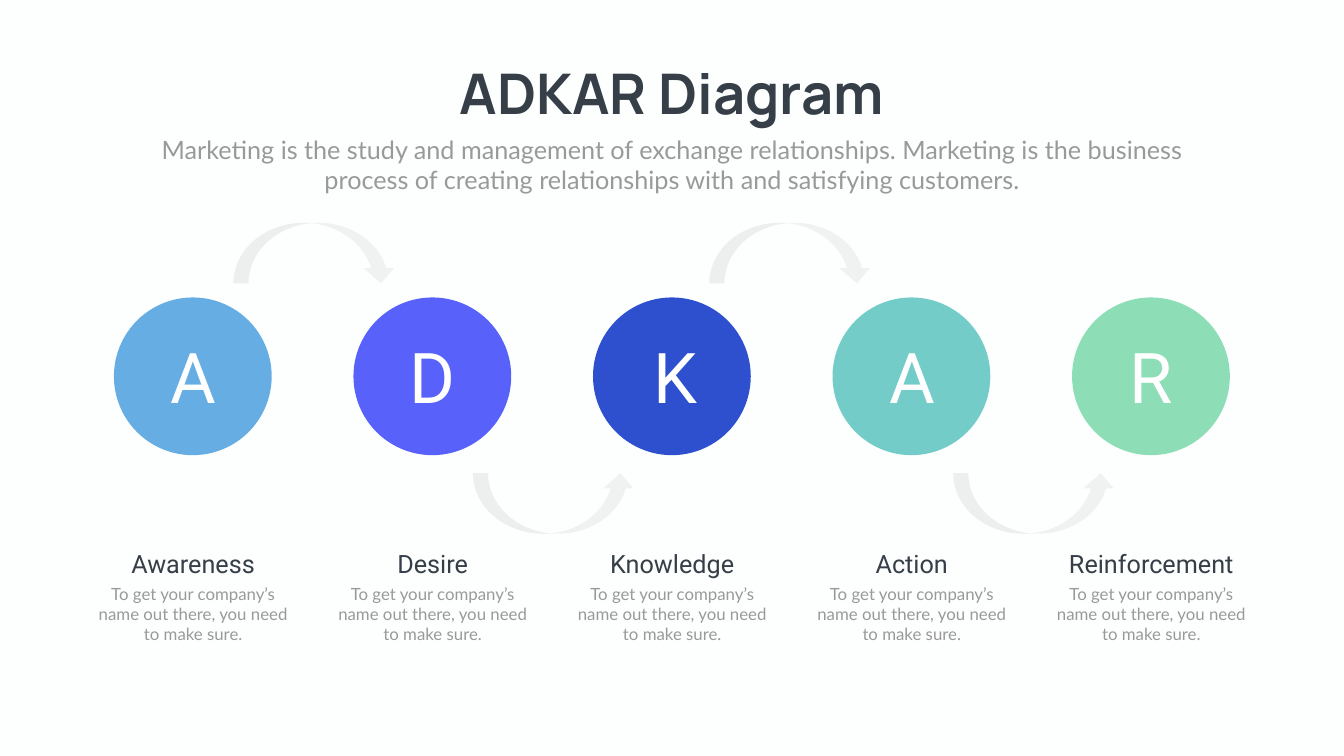
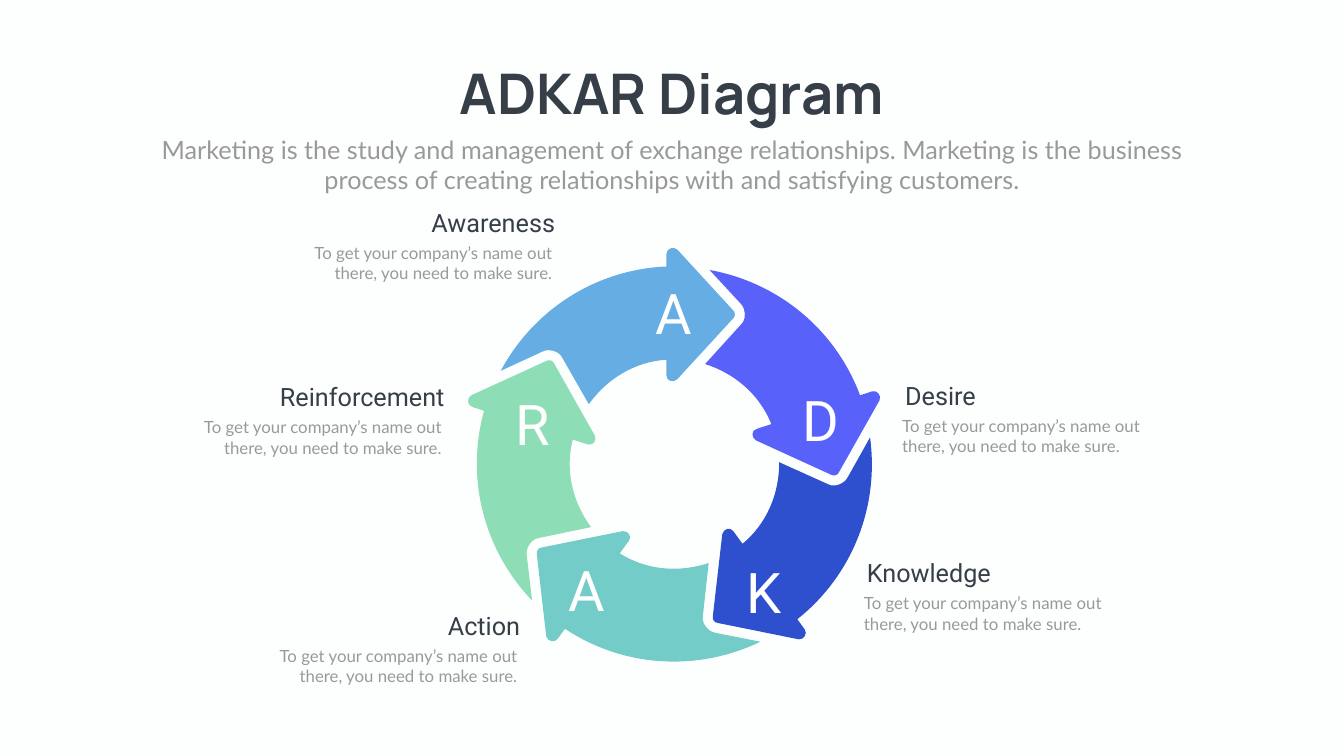
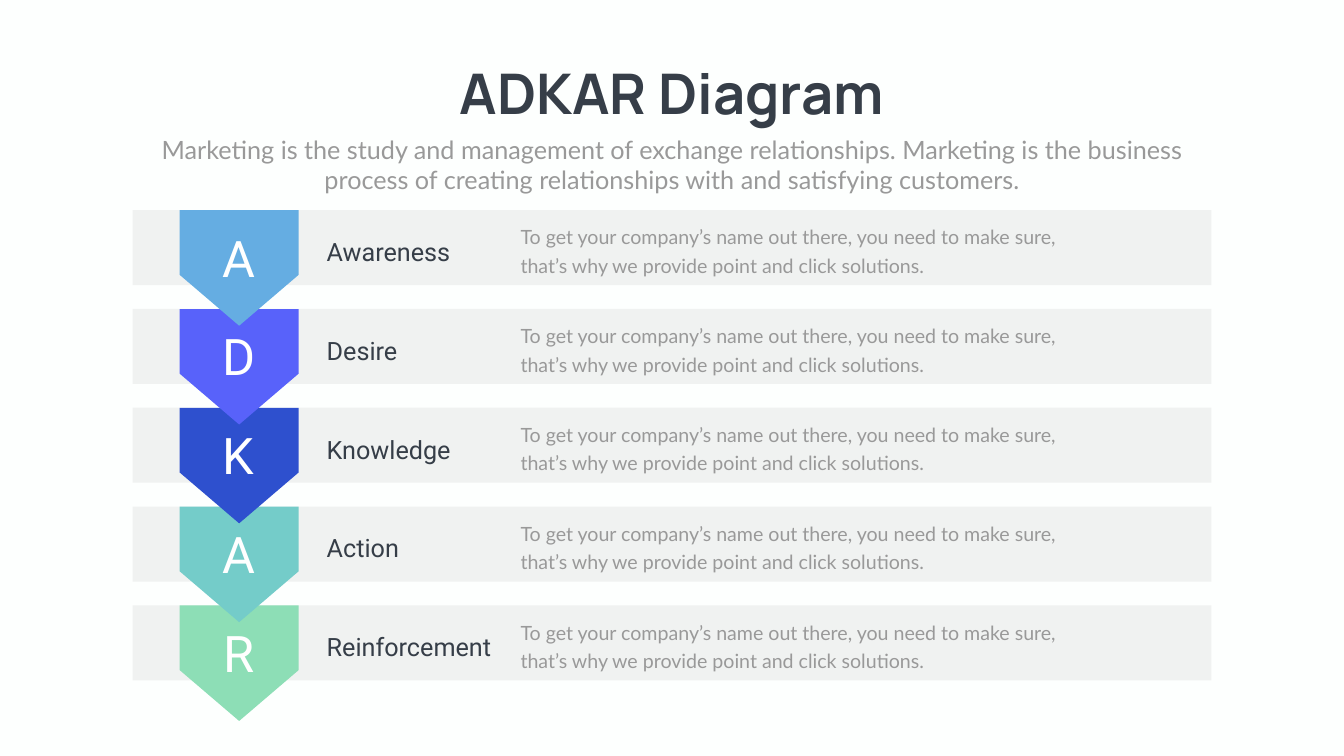
from math import cos, radians, sin

from lxml import etree
from pptx import Presentation
from pptx.dml.color import RGBColor
from pptx.enum.shapes import MSO_SHAPE
from pptx.enum.text import MSO_AUTO_SIZE, PP_ALIGN
from pptx.oxml.ns import qn
from pptx.util import Cm, Pt

OVAL, RECTANGLE, PENTAGON = MSO_SHAPE.OVAL, MSO_SHAPE.RECTANGLE, MSO_SHAPE.PENTAGON
CURVED_ARROW = MSO_SHAPE.CURVED_DOWN_ARROW
LEFT, CENTER, RIGHT = PP_ALIGN.LEFT, PP_ALIGN.CENTER, PP_ALIGN.RIGHT
GROW = MSO_AUTO_SIZE.SHAPE_TO_FIT_TEXT

COLORS = {
    "page": "FDFFFE", "ink": "363E48", "muted": "999999", "white": "FFFFFF", "gray": "808080",
    "Awareness": "65ADE2", "Desire": "5862FA", "Knowledge": "2E50CE",
    "Action": "74CCC9", "Reinforcement": "8DDEB6",
}
STEPS = ["Awareness", "Desire", "Knowledge", "Action", "Reinforcement"]

PAGE_WIDTH, PAGE_HEIGHT = 67.72, 38.1
TITLE = "ADKAR Diagram"
SUBTITLE = ("Marketing is the study and management of exchange relationships. Marketing is the "
            "business process of creating relationships with and satisfying customers.")
NOTE = "To get your company’s name out there, you need to make sure."
LONG_NOTE = ("To get your company’s name out there, you need to make sure, "
             "that’s why we provide point and click solutions.")

# Circle row, from the first circle's left: letter indents and link arrows
LETTER_INDENTS = [0.91, 0.91, 1.09, 0.97, 0.91]
LINK_LEFTS = [6.02, 18.09, 30, 42.29]

# Outline of the first wheel arrow, in cm from the wheel's centre:
# one point is a straight line, three are a Bezier curve
ARROW_START = (2.95, -7.75)
ARROW_OUTLINE = [
    [(0.13, -10.82)],
    [(-0.08, -11), (-0.41, -10.85), (-0.41, -10.59)],
    [(-0.41, -9.96)],
    [(-4.04, -9.8), (-7.14, -7.72), (-8.76, -4.7)],
    [(-6.68, -5.66)],
    [(-6.58, -5.72), (-6.45, -5.74), (-6.35, -5.74)],
    [(-6.05, -5.74), (-5.74, -5.59), (-5.64, -5.33)],
    [(-4.32, -3.02)],
    [(-3.43, -4.27), (-2.03, -5.16), (-0.41, -5.26)],
    [(-0.41, -4.47)],
    [(-0.41, -4.19), (-0.08, -4.09), (0.13, -4.27)],
    [(2.95, -7.34)],
    [(3.07, -7.44), (3.07, -7.65), (2.95, -7.75)],
]

# Wheel texts: left and top of the letter; inner edge, top and alignment of the caption
WHEEL_TEXTS = {
    "Awareness": ((31.22, 13.92), (28.07, 10.31, RIGHT)),
    "Desire": ((38.61, 19.28), (45.21, 19.02, LEFT)),
    "Knowledge": ((35.76, 27.97), (43.28, 27.97, LEFT)),
    "Action": ((26.82, 27.89), (26.31, 30.63, RIGHT)),
    "Reinforcement": ((24.08, 19.51), (22.5, 19.1, RIGHT)),
}


def color(name):
    return RGBColor.from_string(COLORS[name])


# Basic parts, all lengths in cm
def add_text(page, text, left, top, width, height, *, size, font, ink,
             align=LEFT, bold=False, wrap=True, line_spacing=None):
    box = page.shapes.add_textbox(Cm(left), Cm(top), Cm(width), Cm(height))
    frame = box.text_frame
    frame.word_wrap = wrap
    frame.auto_size = GROW
    para = frame.paragraphs[0]
    para.alignment = align
    if line_spacing:
        para.line_spacing = Pt(line_spacing)
    span = para.add_run()
    span.text = text
    span.font.size = Pt(size)
    span.font.name = font
    span.font.bold = bold
    span.font.color.rgb = color(ink)


def paint(shape, fill, opacity=None):
    shape.shadow.inherit = False
    shape.line.fill.background()
    shape.fill.solid()
    shape.fill.fore_color.rgb = color(fill)
    if opacity:
        tone = shape._element.spPr.find(qn("a:solidFill"))[0]
        etree.SubElement(tone, qn("a:alpha"), val=str(opacity * 1000))


def add_shape(page, kind, left, top, width, height, fill, opacity=None):
    shape = page.shapes.add_shape(kind, Cm(left), Cm(top), Cm(width), Cm(height))
    paint(shape, fill, opacity)
    return shape


def add_letter(page, step, left, top, width, height, size):
    add_text(page, step[0], left, top, width, height, size=size, font="Roboto",
             ink="white", align=CENTER)


def heading_width(step, long_width):
    return long_width if step == "Reinforcement" else 8.28


def add_heading(page, step, left, top, width, align=LEFT):
    add_text(page, step, left, top, width, 1.8, size=36, font="Roboto", ink="ink", align=align)


def add_note(page, left, top, width, height, align):
    add_text(page, NOTE, left, top, width, height, size=24, font="Lato", ink="muted", align=align)


def new_page(deck):
    page = deck.slides.add_slide(deck.slide_layouts[6])
    page.background.fill.solid()
    page.background.fill.fore_color.rgb = color("page")
    return page


def add_title(page):
    add_text(page, TITLE, 21.82, 2.84, 24.08, 3.68, size=80, font="Manrope", ink="ink",
             align=CENTER, bold=True, wrap=False)
    add_text(page, SUBTITLE, 7.42, 6.63, 52.88, 3.33, size=36, font="Lato", ink="muted",
             align=CENTER)


# Row of circles
def circle(page, step, left, top, indent):
    add_shape(page, OVAL, left, top, 7.95, 7.95, step)
    add_letter(page, step, left + indent, top + 1.7, 6.15, 4.52, 100)


def link_arrow(page, left, top, below):
    arrow = add_shape(page, CURVED_ARROW, left, top + (8.86 if below else -3.76),
                      8.2, 3.05, "gray", 10)
    if below:
        arrow._element.spPr.find(qn("a:xfrm")).set("flipV", "1")


def circle_caption(page, step, left, top):
    note_width = 10.26
    width = heading_width(step, note_width)
    add_note(page, left, top + 1.8, note_width, 3.33, CENTER)
    add_heading(page, step, left + (note_width - width) / 2, top, width, CENTER)


def circles_slide(deck, left=5.74, top=14.99, pitch=12.07):
    page = new_page(deck)
    for index, step in enumerate(STEPS):
        circle(page, step, left + index * pitch, top, LETTER_INDENTS[index])
    for index, link_left in enumerate(LINK_LEFTS):
        link_arrow(page, left + link_left, top, index % 2 == 1)
    for index, step in enumerate(STEPS):
        circle_caption(page, step, left - 1.14 + index * pitch, top + 12.5)
    add_title(page)


# Wheel of arrows
def turn(point, angle, center):
    x, y = point
    return (Cm(center[0] + x * cos(angle) - y * sin(angle)),
            Cm(center[1] + x * sin(angle) + y * cos(angle)))


def wheel_arrow(page, step, angle, center):
    segments = [[turn(point, angle, center) for point in segment] for segment in ARROW_OUTLINE]
    builder = page.shapes.build_freeform(*turn(ARROW_START, angle, center))
    builder.add_line_segments([segment[-1] for segment in segments], close=True)
    arrow = builder.convert_to_shape()
    paint(arrow, step)
    # Bend the straight segments that have control points
    lines = list(arrow._element.spPr.iter(qn("a:lnTo")))
    for line, segment in zip(lines, segments):
        if len(segment) == 3:
            curve = etree.Element(qn("a:cubicBezTo"))
            for x, y in segment:
                etree.SubElement(curve, qn("a:pt"), x=str(x - arrow.left), y=str(y - arrow.top))
            line.getparent().replace(line, curve)


def wheel_caption(page, step, edge, top, align):
    width, note_width = heading_width(step, 9.68), 12.9
    on_left = align == RIGHT
    add_note(page, edge - on_left * note_width, top + 1.8, note_width, 2.31, align)
    add_heading(page, step, edge + 0.15 - on_left * width, top, width, align)


def wheel_slide(deck, center=(33.99, 23.39)):
    page = new_page(deck)
    for index, step in enumerate(STEPS):
        wheel_arrow(page, step, radians(index * 360 / len(STEPS)), center)
    for step, (letter_place, caption_place) in WHEEL_TEXTS.items():
        add_letter(page, step, *letter_place, 5.51, 3.3, 80)
        wheel_caption(page, step, *caption_place)
    add_title(page)


# Stacked bands
def band(page, step, left, top):
    add_shape(page, RECTANGLE, left, top, 54.36, 3.78, "gray", 10)
    tag = add_shape(page, PENTAGON, left + 2.46, top - 0.08, 5.82, 5.99, step)
    tag.adjustments[0] = 0.44
    tag.rotation = 90
    add_letter(page, step, left + 3.23, top + 0.71, 4.24, 3.33, 72)
    add_text(page, LONG_NOTE, left + 19.3, top + 0.38, 28.22, 3.02, size=28, font="Lato",
             ink="muted", line_spacing=40.8)
    add_heading(page, step, left + 9.53, top + 1.19, 9.07)


def bands_slide(deck, left=6.68, top=10.59, pitch=4.98):
    page = new_page(deck)
    # Bottom band first, so that each tag overlaps the one below it
    for index, step in reversed(list(enumerate(STEPS))):
        band(page, step, left, top + index * pitch)
    add_title(page)


def main():
    deck = Presentation()
    deck.slide_width, deck.slide_height = Cm(PAGE_WIDTH), Cm(PAGE_HEIGHT)
    circles_slide(deck)
    wheel_slide(deck)
    bands_slide(deck)
    deck.save("out.pptx")


if __name__ == "__main__":
    main()
